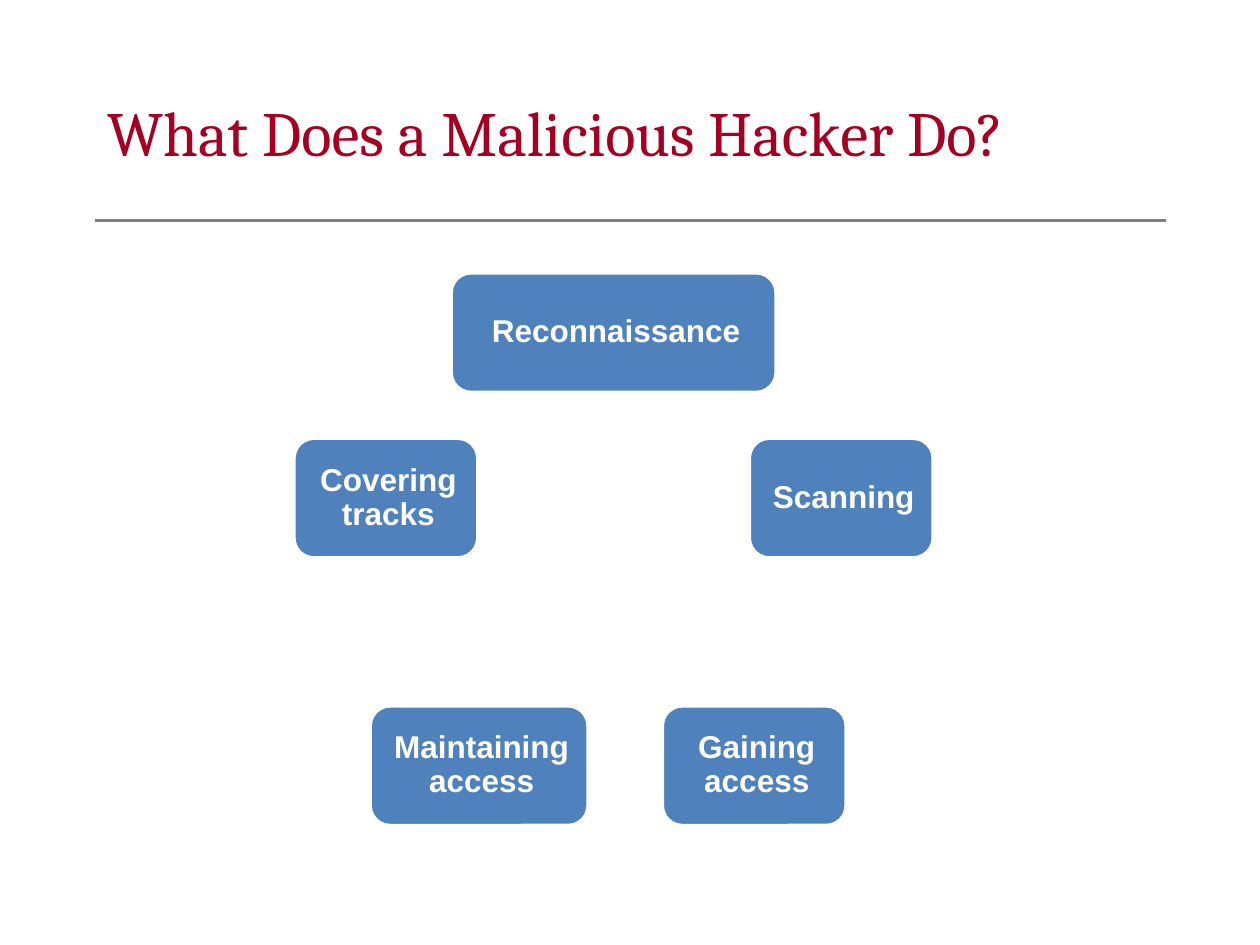
import math
from dataclasses import dataclass

import lxml.etree
import pptx
import pptx.dml.color
import pptx.enum.shapes
import pptx.enum.text
import pptx.oxml.ns
import pptx.presentation
import pptx.slide
import pptx.util
from pptx.util import Inches


@dataclass(frozen=True)
class Theme:
    title_font: str = "Cambria"
    step_font: str = "Arial"
    title_color: str = "A50021"
    rule_color: str = "808080"
    step_fill: str = "4F81BD"
    white: str = "FFFFFF"
    title_size: int = 36
    step_size: int = 18
    line_width: int = 2


@dataclass(frozen=True)
class Step:
    label: str
    width: float = 1.46
    shift: float = 0


THEME = Theme()
CYCLE_X, CYCLE_Y, CYCLE_RADIUS = 4.87, 4.54, 1.9
STEP_HEIGHT = 0.95

# Clockwise from the top of the cycle
STEPS = [
    Step("Reconnaissance", width=2.58),
    Step("Scanning"),
    Step("Gaining access"),
    Step("Maintaining access", width=1.73, shift=0.05),
    Step("Covering tracks"),
]


def rgb(color: str) -> pptx.dml.color.RGBColor:
    return pptx.dml.color.RGBColor.from_string(color)


def style_font(font, name: str, size: int, color: str, bold: bool) -> None:
    font.name = name
    font.size = pptx.util.Pt(size)
    font.color.rgb = rgb(color)
    font.bold = bold


def draw_title(slide: pptx.slide.Slide, text: str) -> None:
    title = slide.shapes.title
    title.left, title.top = Inches(0.75), Inches(0.5)
    title.width, title.height = Inches(8.5), Inches(1.08)
    frame = title.text_frame
    frame.text = text
    frame.vertical_anchor = pptx.enum.text.MSO_ANCHOR.MIDDLE
    heading = frame.paragraphs[0]
    heading.alignment = pptx.enum.text.PP_ALIGN.LEFT
    style_font(heading.font, THEME.title_font, THEME.title_size,
               THEME.title_color, False)


def draw_rule(slide: pptx.slide.Slide) -> None:
    rule = slide.shapes.add_connector(
        pptx.enum.shapes.MSO_CONNECTOR.STRAIGHT,
        Inches(0.75), Inches(1.75), Inches(9.25), Inches(1.75))
    rule.line.color.rgb = rgb(THEME.rule_color)
    rule.line.width = pptx.util.Pt(THEME.line_width)
    lxml.etree.SubElement(rule._element.spPr,
                          pptx.oxml.ns.qn("a:effectLst"))


def draw_step(slide: pptx.slide.Slide, step: Step, angle: float) -> None:
    center_x = CYCLE_X + CYCLE_RADIUS * math.sin(angle) + step.shift
    center_y = CYCLE_Y - CYCLE_RADIUS * math.cos(angle)
    box = slide.shapes.add_shape(
        pptx.enum.shapes.MSO_SHAPE.ROUNDED_RECTANGLE,
        Inches(center_x - step.width / 2), Inches(center_y - STEP_HEIGHT / 2),
        Inches(step.width), Inches(STEP_HEIGHT))
    box.shadow.inherit = False
    box.fill.solid()
    box.fill.fore_color.rgb = rgb(THEME.step_fill)
    box.line.color.rgb = rgb(THEME.white)
    box.line.width = pptx.util.Pt(THEME.line_width)

    frame = box.text_frame
    frame.text = step.label
    frame.word_wrap = True
    frame.vertical_anchor = pptx.enum.text.MSO_ANCHOR.MIDDLE
    frame.margin_left = frame.margin_top = frame.margin_bottom = Inches(0.12)
    frame.margin_right = Inches(0.08)
    label = frame.paragraphs[0]
    label.alignment = pptx.enum.text.PP_ALIGN.CENTER
    label.line_spacing = 0.9
    style_font(label.font, THEME.step_font, THEME.step_size, THEME.white, True)


def main() -> None:
    deck = pptx.Presentation()
    deck.slide_width, deck.slide_height = Inches(10), Inches(7.5)
    slide = deck.slides.add_slide(deck.slide_layouts.get_by_name("Title Only"))

    # Heading
    draw_rule(slide)
    draw_title(slide, "What Does a Malicious Hacker Do?")

    # Steps evenly spaced around the cycle
    for index, step in enumerate(STEPS):
        draw_step(slide, step, math.tau * index / len(STEPS))

    deck.save("out.pptx")


if __name__ == "__main__":
    main()
